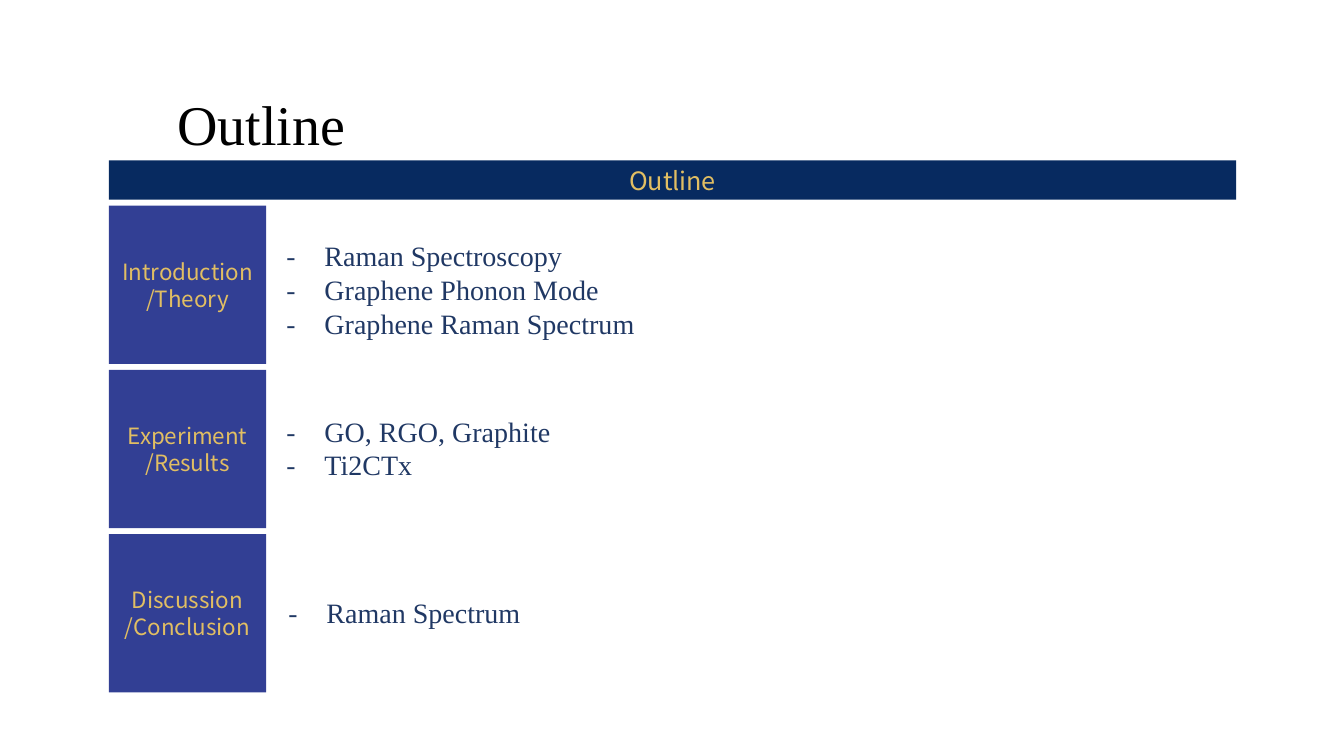
from lxml import etree
from pptx import Presentation
from pptx.dml.color import RGBColor
from pptx.enum import shapes, text
from pptx.oxml import ns
from pptx import util as u

COLORS = {"black": "000000", "navy": "072A60", "indigo": "323F94",
          "gold": "E1BE63", "ink": "203864"}
SANS, SERIF = "Noto Sans CJK KR", "Times New Roman"
LEFT, BANNER_TOP, BANNER_WIDTH, BANNER_HEIGHT = 1.08, 1.59, 11.18, 0.39
ROWS_TOP, ROW_PITCH, LABEL_WIDTH, LABEL_HEIGHT = 2.04, 1.63, 1.56, 1.57
HANG = 0.38

SECTIONS = [
    (["Introduction", "/Theory"],
     ["Raman Spectroscopy", "Graphene Phonon Mode", "Graphene Raman Spectrum"],
     (0.1, 0.28, 6.54, 1.11)),
    (["Experiment", "/Results"], ["GO, RGO, Graphite", "Ti2CTx"],
     (0.1, 0.39, 6.54, 0.77)),
    (["Discussion", "/Conclusion"], ["Raman Spectrum"],
     (0.12, 0.56, 7.86, 0.44)),
]


def add_dash(paragraph):
    """Give a paragraph a hanging dash bullet."""
    props = paragraph._p.get_or_add_pPr()
    props.set("marL", str(u.Inches(HANG)))
    props.set("indent", str(-u.Inches(HANG)))
    etree.SubElement(props, ns.qn("a:buFont")).set("typeface", SANS)
    etree.SubElement(props, ns.qn("a:buChar")).set("char", "-")


def write(frame, lines, size, font, color, align=text.PP_ALIGN.LEFT,
          anchor=text.MSO_ANCHOR.TOP, dashed=False):
    """Fill a text frame with one paragraph per line."""
    frame.word_wrap = True
    frame.vertical_anchor = anchor
    for index, line in enumerate(lines):
        paragraph = frame.paragraphs[0] if index == 0 else frame.add_paragraph()
        paragraph.alignment = align
        run = paragraph.add_run()
        run.text = line
        run.font.size = u.Pt(size)
        run.font.name = font
        run.font.color.rgb = RGBColor.from_string(COLORS[color])
        if dashed:
            add_dash(paragraph)


def add_text(slide, box, lines, **style):
    """Add a text box at a box given in inches."""
    caption = slide.shapes.add_textbox(*map(u.Inches, box))
    write(caption.text_frame, lines, **style)


def add_block(slide, box, lines, fill, size):
    """Add a filled rectangle with centred gold text."""
    block = slide.shapes.add_shape(shapes.MSO_SHAPE.RECTANGLE, *map(u.Inches, box))
    block.shadow.inherit = False
    block.fill.solid()
    block.fill.fore_color.rgb = RGBColor.from_string(COLORS[fill])
    block.line.fill.background()
    write(block.text_frame, lines, size=size, font=SANS, color="gold",
          align=text.PP_ALIGN.CENTER, anchor=text.MSO_ANCHOR.MIDDLE)


def add_heading(slide, left, top, width, height):
    """Place the title above the banner that fills the box."""
    add_text(slide, (left + 0.58, top - 0.75, 5.4, 0.77), ["Outline"],
             size=40, font=SERIF, color="black")
    add_block(slide, (left, top, width, height), ["Outline"], "navy", 18)


def add_section(slide, left, top, label, topics, topic_box):
    """Place a section label and its topics to the right."""
    add_block(slide, (left, top, LABEL_WIDTH, LABEL_HEIGHT), label, "indigo", 16)
    gap, drop, width, height = topic_box
    add_text(slide, (left + LABEL_WIDTH + gap, top + drop, width, height), topics,
             size=20, font=SERIF, color="ink", dashed=True)


def main():
    """Build the outline slide."""
    deck = Presentation()
    deck.slide_width, deck.slide_height = u.Inches(13.33), u.Inches(7.5)
    slide = deck.slides.add_slide(deck.slide_layouts[6])
    add_heading(slide, LEFT, BANNER_TOP, BANNER_WIDTH, BANNER_HEIGHT)
    for row, section in enumerate(SECTIONS):
        add_section(slide, LEFT, ROWS_TOP + row * ROW_PITCH, *section)
    deck.save("out.pptx")


if __name__ == "__main__":
    main()
